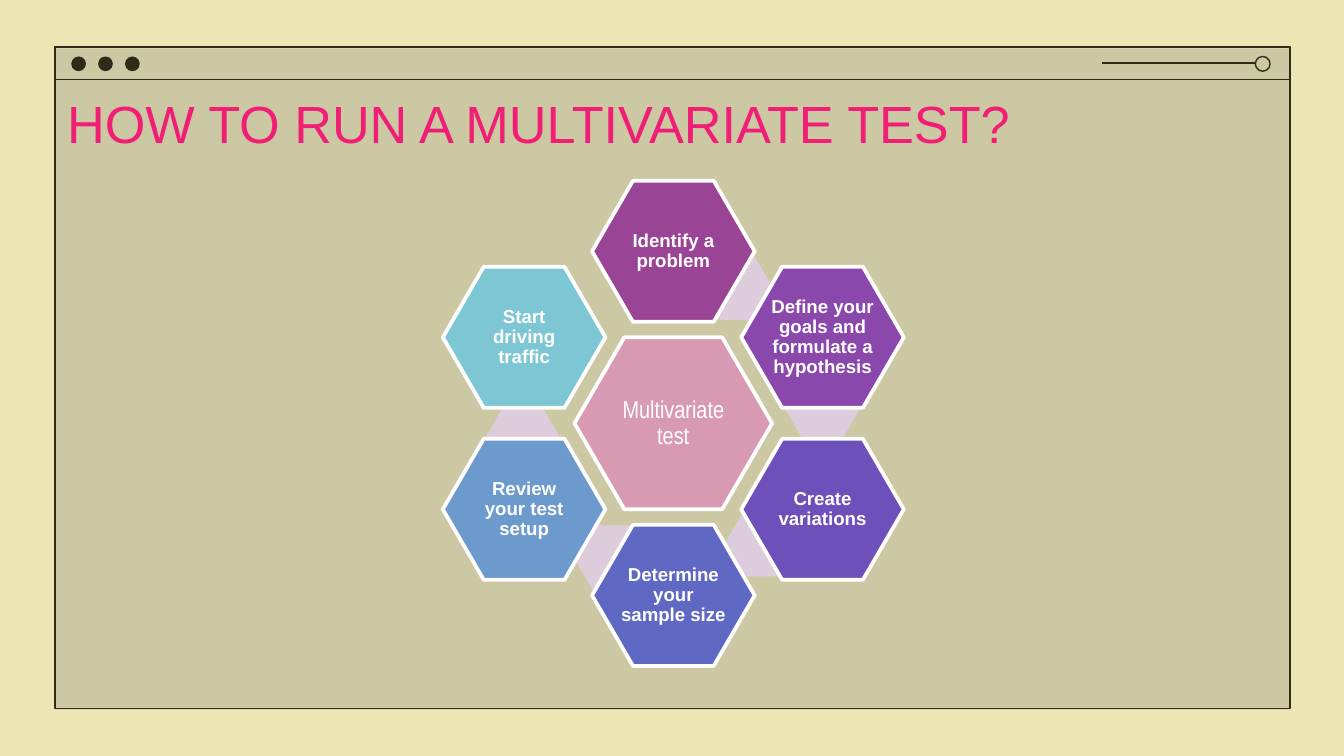
from lxml.etree import SubElement
from pptx import Presentation
from pptx.dml.color import RGBColor
from pptx.enum.shapes import MSO_CONNECTOR as CONN, MSO_SHAPE as SHAPE
from pptx.enum.text import MSO_ANCHOR as ANCHOR, MSO_AUTO_SIZE as AUTO, PP_ALIGN as ALIGN
from pptx.oxml.ns import qn
from pptx.util import Inches, Pt

INK, WHITE, PALE = "2F2B19", "FFFFFF", "DDCDDC"
CENTER = (5.01, 3.15)
PETAL_W, PETAL_H = 1.21, 1.05
STEP_X, STEP_Y = 1.11, 0.64
TITLE_FONT = {"name": "Arial", "size": Pt(28), "bold": False}
CORE_FONT = {"name": "Arial Narrow", "size": Pt(13), "bold": False}
PETAL_FONT = {"name": "Arial", "size": Pt(10), "bold": True}
PETALS = [
    ("Identify a problem", "9A4496", 0, -2),
    ("Define your goals and formulate a hypothesis", "8A47AC", 1, -1),
    ("Create variations", "6E50BA", 1, 1),
    ("Determine your sample size", "5F68C3", 0, 2),
    ("Review your test setup", "6D9ACC", -1, 1),
    ("Start driving traffic", "7DC6D3", -1, -1),
]
LINKS = [(5.19, 1.9), (5.84, 2.8), (5.39, 3.81), (4.27, 3.91), (3.61, 3.02)]


def rgb(value):
    """Turn a hex string into a colour."""
    return RGBColor.from_string(value)


def add_shape(s, kind, box, fill=None, line=None, width=0.75):
    """Add a preset shape with optional fill and outline."""
    sp = s.shapes.add_shape(kind, *map(Inches, box))
    sp.shadow.inherit = False
    if fill:
        sp.fill.solid()
        sp.fill.fore_color.rgb = rgb(fill)
    else:
        sp.fill.background()
    if line:
        sp.line.color.rgb = rgb(line)
        sp.line.width = Pt(width)
    else:
        sp.line.fill.background()
    return sp


def set_text(sp, text, font, color, align, inset):
    """Write one middle-anchored paragraph into a shape."""
    tf = sp.text_frame
    tf.word_wrap = True
    tf.auto_size = AUTO.NONE
    tf.vertical_anchor = ANCHOR.MIDDLE
    for side in ("left", "top", "right", "bottom"):
        setattr(tf, f"margin_{side}", Inches(inset))
    p = tf.paragraphs[0]
    p.alignment = align
    r = p.add_run()
    r.text = text
    for key, value in font.items():
        setattr(r.font, key, value)
    r.font.color.rgb = rgb(color)
    return p


def add_hexagon(s, box, fill, line=None):
    """Add a near-regular hexagon."""
    sp = add_shape(s, SHAPE.HEXAGON, box, fill, line, 2)
    sp.adjustments[0] = 0.29
    return sp


def add_cell(s, center, size, text, fill, font, inset):
    """Add a white-edged hexagon with a label around a centre."""
    (x, y), (w, h) = center, size
    sp = add_hexagon(s, (x - w / 2, y - h / 2, w, h), fill, WHITE)
    p = set_text(sp, text, font, WHITE, ALIGN.CENTER, inset)
    p.line_spacing = 0.9


def add_line(s, start, end):
    """Add a thin straight line."""
    ln = s.shapes.add_connector(CONN.STRAIGHT, *map(Inches, start + end))
    ln.line.color.rgb = rgb(INK)
    ln.line.width = Pt(0.75)
    SubElement(ln._element.spPr, qn("a:effectLst"))


def add_window(s):
    """Draw the browser-like window frame."""
    panel = add_shape(s, SHAPE.RECTANGLE, (0.41, 0.36, 9.18, 4.92), "7C7C7C")
    color = panel._element.spPr.find(qn("a:solidFill"))[0]
    SubElement(color, qn("a:alpha")).set("val", "27000")
    for height in (4.92, 0.24):
        add_shape(s, SHAPE.RECTANGLE, (0.41, 0.35, 9.19, height), line=INK)
    for i in range(3):
        add_shape(s, SHAPE.OVAL, (0.53 + 0.2 * i, 0.42, 0.11, 0.11), INK)
    add_shape(s, SHAPE.OVAL, (9.34, 0.42, 0.11, 0.11), line=INK)
    add_line(s, (8.2, 0.47), (9.34, 0.47))


def add_title(s, text):
    """Place the title above the window frame."""
    sp = s.shapes.title
    s.shapes._spTree.append(sp._element)
    box = {"left": 0.4, "top": 0.59, "width": 9.21, "height": 0.65}
    for key, value in box.items():
        setattr(sp, key, Inches(value))
    set_text(sp, text, TITLE_FONT, "F01E74", ALIGN.LEFT, 0.1)


def add_cycle(s):
    """Draw the core hexagon and the ring of steps around it."""
    cx, cy = CENTER
    add_cell(s, CENTER, (1.47, 1.28), "Multivariate test", "D899B3", CORE_FONT, 0.02)
    for i, (text, fill, col, row) in enumerate(PETALS):
        if i < len(LINKS):
            add_hexagon(s, LINKS[i] + (0.56, 0.48), PALE)
        center = (cx + col * STEP_X, cy + row * STEP_Y)
        add_cell(s, center, (PETAL_W, PETAL_H), text, fill, PETAL_FONT, 0.01)


def main():
    """Build and save the slide."""
    prs = Presentation()
    prs.slide_width = Inches(10)
    prs.slide_height = prs.slide_width * 9 // 16
    s = prs.slides.add_slide(prs.slide_layouts[5])
    s.background.fill.solid()
    s.background.fill.fore_color.rgb = rgb("ECE5B4")
    add_window(s)
    add_title(s, "HOW TO RUN A MULTIVARIATE TEST?")
    add_cycle(s)
    prs.save("out.pptx")


if __name__ == "__main__":
    main()
